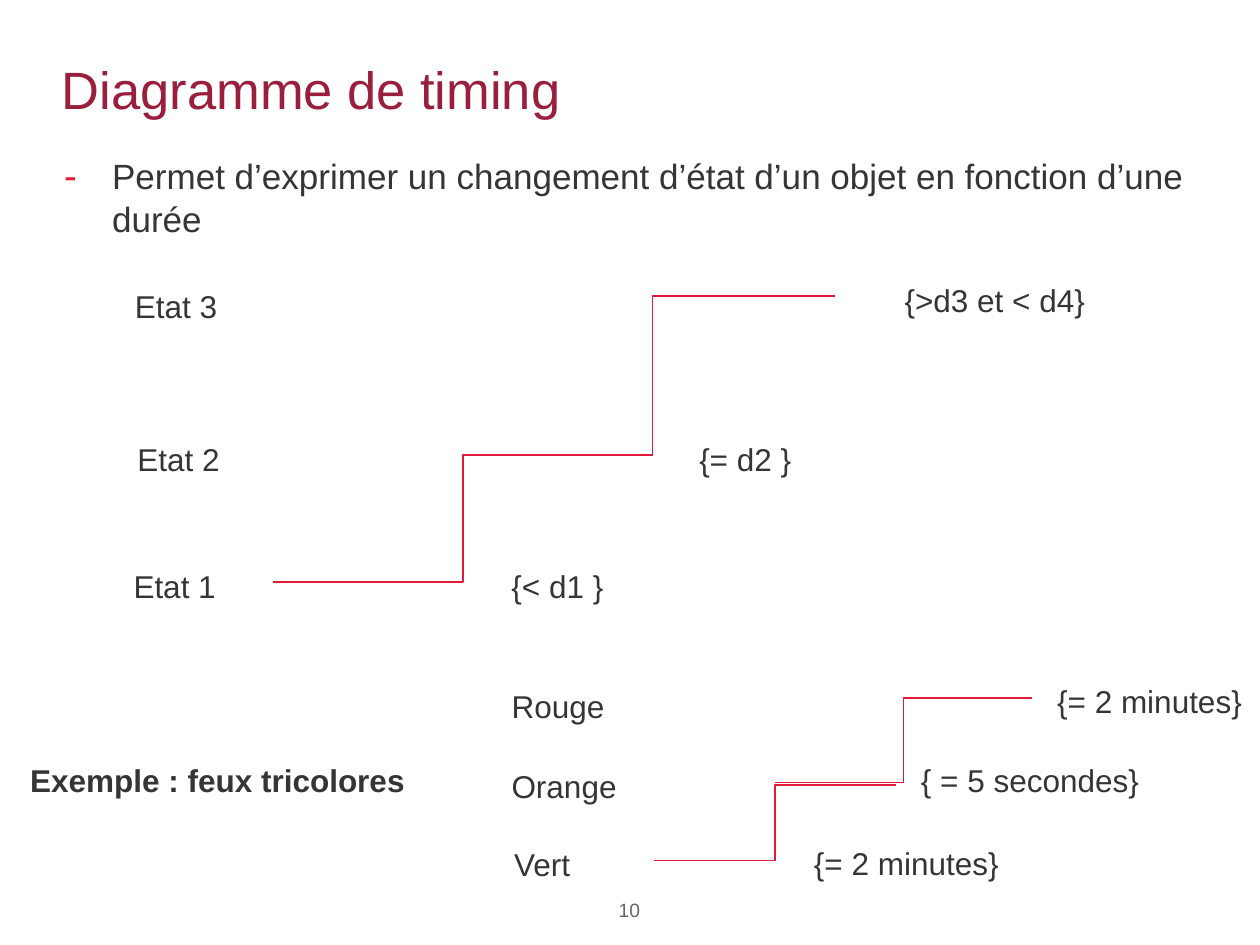
from dataclasses import dataclass

from lxml import etree
from pptx import Presentation
from pptx import util as u
from pptx.dml.color import RGBColor
from pptx.enum import shapes, text
from pptx.oxml.ns import qn


@dataclass(frozen=True)
class Theme:
    """Colours, font and type sizes of the slide."""
    font: str = "Arial"
    title: str = "991F3D"
    accent: str = "E31937"
    ink: str = "363534"
    muted: str = "666666"
    title_size: int = 30
    body_size: int = 20
    label_size: int = 18
    number_size: int = 11


class TimingSlide:
    """A slide with a title, a bullet, labels and stepped lines."""

    def __init__(self, deck, theme):
        self.theme = theme
        self.page = deck.slides.add_slide(deck.slide_layouts[1])

    def set_text(self, box, wording, size, color, bold=False, align=text.PP_ALIGN.LEFT):
        frame = box.text_frame
        frame.margin_left = frame.margin_right = 0
        frame.margin_top = frame.margin_bottom = 0
        para = frame.paragraphs[0]
        para.text = wording
        para.alignment = align
        para.font.name = self.theme.font
        para.font.size = u.Pt(size)
        para.font.bold = bold
        para.font.color.rgb = RGBColor.from_string(color)
        return para

    def place(self, box, left, top, width, height):
        box.left, box.top = u.Inches(left), u.Inches(top)
        box.width, box.height = u.Inches(width), u.Inches(height)
        box.text_frame.word_wrap = True
        box.text_frame.auto_size = text.MSO_AUTO_SIZE.NONE

    def title(self, wording, *area):
        box = self.page.shapes.title
        self.place(box, *area)
        box.text_frame.vertical_anchor = text.MSO_ANCHOR.MIDDLE
        self.set_text(box, wording, self.theme.title_size, self.theme.title)

    def bullet(self, wording, *area):
        box = self.page.placeholders[1]
        self.place(box, *area)
        box.text_frame.vertical_anchor = text.MSO_ANCHOR.TOP
        para = self.set_text(box, wording, self.theme.body_size, self.theme.ink)
        para.space_before = u.Pt(5)
        props = para._p.get_or_add_pPr()
        props.set("marL", str(u.Inches(0.38)))
        props.set("indent", str(-u.Inches(0.38)))
        color = etree.Element(qn("a:buClr"))
        etree.SubElement(color, qn("a:srgbClr"), val=self.theme.accent)
        size = etree.Element(qn("a:buSzPct"), val="110000")
        mark = etree.Element(qn("a:buChar"), char="-")
        default_font = props.find(qn("a:defRPr"))
        for item in (color, size, mark):
            default_font.addprevious(item)

    def label(self, wording, left, top, width, height=0.3, bold=False):
        box = self.page.shapes.add_textbox(0, 0, 0, 0)
        self.place(box, left, top, width, height)
        self.set_text(box, wording, self.theme.label_size, self.theme.ink, bold)

    def number(self, wording, *area):
        box = self.page.shapes.add_textbox(0, 0, 0, 0)
        self.place(box, *area)
        box.text_frame.word_wrap = False
        self.set_text(box, wording, self.theme.number_size, self.theme.muted,
                      align=text.PP_ALIGN.CENTER)

    def step(self, *ends):
        line = self.page.shapes.add_connector(
            shapes.MSO_CONNECTOR.ELBOW, *map(u.Inches, ends))
        line.line.color.rgb = RGBColor.from_string(self.theme.accent)
        line.line.width = u.Pt(1)
        etree.SubElement(line._element.spPr, qn("a:effectLst"))


deck = Presentation()
deck.slide_width, deck.slide_height = u.Inches(10), u.Inches(7.5)
slide = TimingSlide(deck, Theme())

slide.title("Diagramme de timing", 0.49, 0.2, 9.01, 1.01)
slide.bullet("Permet d’exprimer un changement d’état d’un objet en fonction d’une durée",
             0.51, 1.23, 8.99, 1.34)
slide.number("10", 4.57, 7.13, 0.85, 0.26)

STEPS = [
    (2.17, 4.62, 5.18, 3.61),
    (3.73, 3.61, 6.63, 2.35),
    (5.19, 6.83, 7.11, 6.23),
    (6.15, 6.21, 8.19, 5.54),
]
for ends in STEPS:
    slide.step(*ends)

STATES = [
    ("Etat 1", 1.06, 4.5, 0.68, 0.24),
    ("Etat 2", 1.09, 3.49, 0.68, 0.24),
    ("Etat 3", 1.07, 2.28, 0.68, 0.24),
    ("Vert", 4.08, 6.71, 0.68),
    ("Orange", 4.06, 6.09, 1.11),
    ("Rouge", 4.06, 5.45, 1.12),
]
DURATIONS = [
    ("{< d1 }", 4.06, 4.5, 1.33, 0.24),
    ("{= d2 }", 5.55, 3.49, 1.33, 0.24),
    ("{>d3 et < d4}", 7.18, 2.23, 1.77, 0.24),
    ("{= 2 minutes}", 6.46, 6.7, 2.21),
    ("{ = 5 secondes}", 7.31, 6.04, 2.24),
    ("{= 2 minutes}", 8.39, 5.41, 2.21),
]
for entry in STATES + DURATIONS:
    slide.label(*entry)
slide.label("Exemple : feux tricolores", 0.24, 6.04, 3.06, bold=True)

deck.save("out.pptx")
